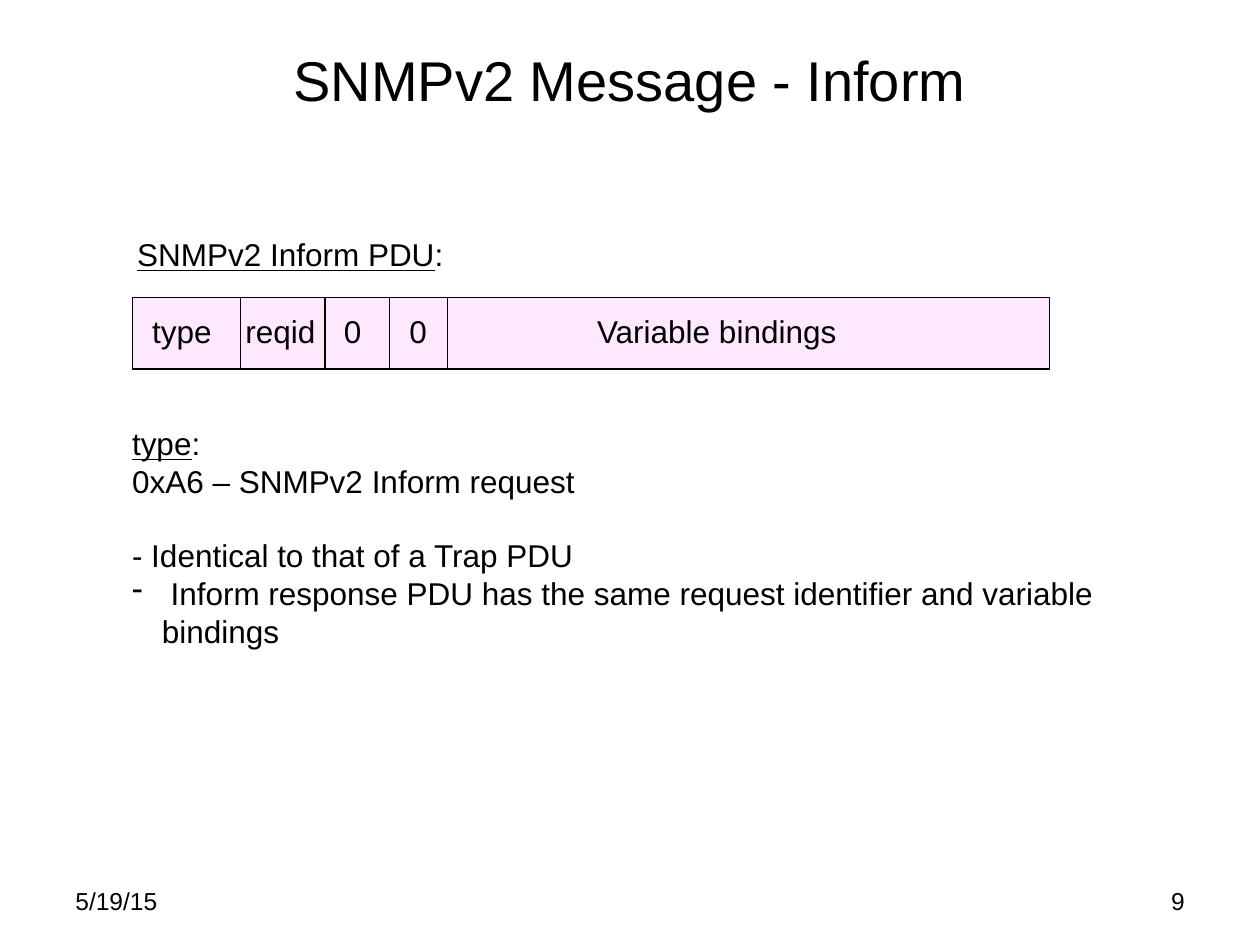
import pptx
import pptx.dml.color
import pptx.enum.shapes
import pptx.enum.text
import pptx.util
from lxml import etree
from pptx.oxml.ns import qn

Pt = pptx.util.Pt
ALIGN = pptx.enum.text.PP_ALIGN
ANCHOR = pptx.enum.text.MSO_ANCHOR
BLACK = pptx.dml.color.RGBColor(0x00, 0x00, 0x00)
PINK = pptx.dml.color.RGBColor(0xFE, 0xE8, 0xFE)

BODY = {"name": "Arial", "size": Pt(18)}
SMALL = {"name": "Arial", "size": Pt(14)}
TITLE = {"name": "Arial", "size": Pt(32)}
LINE_HEIGHT = 20.7


def add_span(para, text, style, underline=False):
    span = para.add_run()
    span.text = text
    for name, value in {**style, "underline": underline}.items():
        setattr(span.font, name, value)
    span.font.color.rgb = BLACK


def add_frame(page, box, wrap=True, anchor=ANCHOR.TOP):
    frame = page.shapes.add_textbox(*map(Pt, box)).text_frame
    frame.word_wrap = wrap
    frame.vertical_anchor = anchor
    return frame


def add_label(page, box, text, style=BODY, align=ALIGN.LEFT, **frame_options):
    para = add_frame(page, box, **frame_options).paragraphs[0]
    para.alignment = align
    add_span(para, text, style)


def add_heading(para, text):
    """An underlined term followed by a plain colon."""
    add_span(para, text, BODY, underline=True)
    add_span(para, ":", BODY)


def add_dash_bullet(para, indent):
    properties = para._p.get_or_add_pPr()
    properties.set("marL", str(Pt(indent)))
    properties.set("indent", str(-Pt(indent)))
    etree.SubElement(properties, qn("a:buFontTx"))
    etree.SubElement(properties, qn("a:buChar"), char="-")


def draw_footer(page, box):
    left, top, width, height = box
    part = 168
    add_label(page, (left, top, part, height), "5/19/15", SMALL)
    add_label(page, (left + width - part, top, part, height), "9", SMALL, ALIGN.RIGHT)


def draw_message_bar(page, box):
    left, top, width, height = box
    bar = page.shapes.add_shape(
        pptx.enum.shapes.MSO_SHAPE.RECTANGLE, *map(Pt, box))
    bar.shadow.inherit = False
    bar.fill.solid()
    bar.fill.fore_color.rgb = PINK
    bar.line.color.rgb = BLACK
    bar.line.width = Pt(0.75)

    # Field dividers
    for offset in (61.9, 110.2, 146.9, 180):
        x = left + offset
        divider = page.shapes.add_connector(
            pptx.enum.shapes.MSO_CONNECTOR.STRAIGHT,
            Pt(x), Pt(top), Pt(x), Pt(top + height))
        divider.line.color.rgb = BLACK
        divider.line.width = Pt(0.75)
        etree.SubElement(divider._element.spPr, qn("a:effectLst"))

    # Field names: text, offset from the bar's left, width
    fields = [("type", 4.3, 48.3), ("reqid", 57.6, 54.7), ("0", 113.8, 24.5),
              ("0", 151.2, 24.5), ("Variable bindings", 258.5, 152.6)]
    for text, offset, field_width in fields:
        add_label(page, (left + offset, top + 5, field_width, 29), text, wrap=False)


def draw_description(page, box):
    frame = add_frame(page, box)
    add_heading(frame.paragraphs[0], "type")
    add_span(frame.add_paragraph(), "0xA6 – SNMPv2 Inform request", BODY)

    # Notes, one line below
    note = frame.add_paragraph()
    note.space_before = Pt(LINE_HEIGHT)
    add_span(note, "- Identical to that of a Trap PDU", BODY)
    note = frame.add_paragraph()
    add_dash_bullet(note, 17)
    add_span(note, " Inform response PDU has the same request identifier "
                   "and variable bindings", BODY)


def main():
    deck = pptx.Presentation()
    deck.slide_width, deck.slide_height = Pt(720), Pt(540)
    page = deck.slides.add_slide(deck.slide_layouts[6])

    draw_footer(page, (36, 502.6, 648, 37.4))
    add_label(page, (36, 0, 648, 90), "SNMPv2 Message - Inform", TITLE,
              ALIGN.CENTER, anchor=ANCHOR.MIDDLE)
    heading = add_frame(page, (71.3, 131, 189.4, 29), wrap=False)
    add_heading(heading.paragraphs[0], "SNMPv2 Inform PDU")
    draw_message_bar(page, (75.6, 169.9, 524.2, 41))
    draw_description(page, (68.4, 239, 597.6, 180))

    deck.save("out.pptx")


if __name__ == "__main__":
    main()
